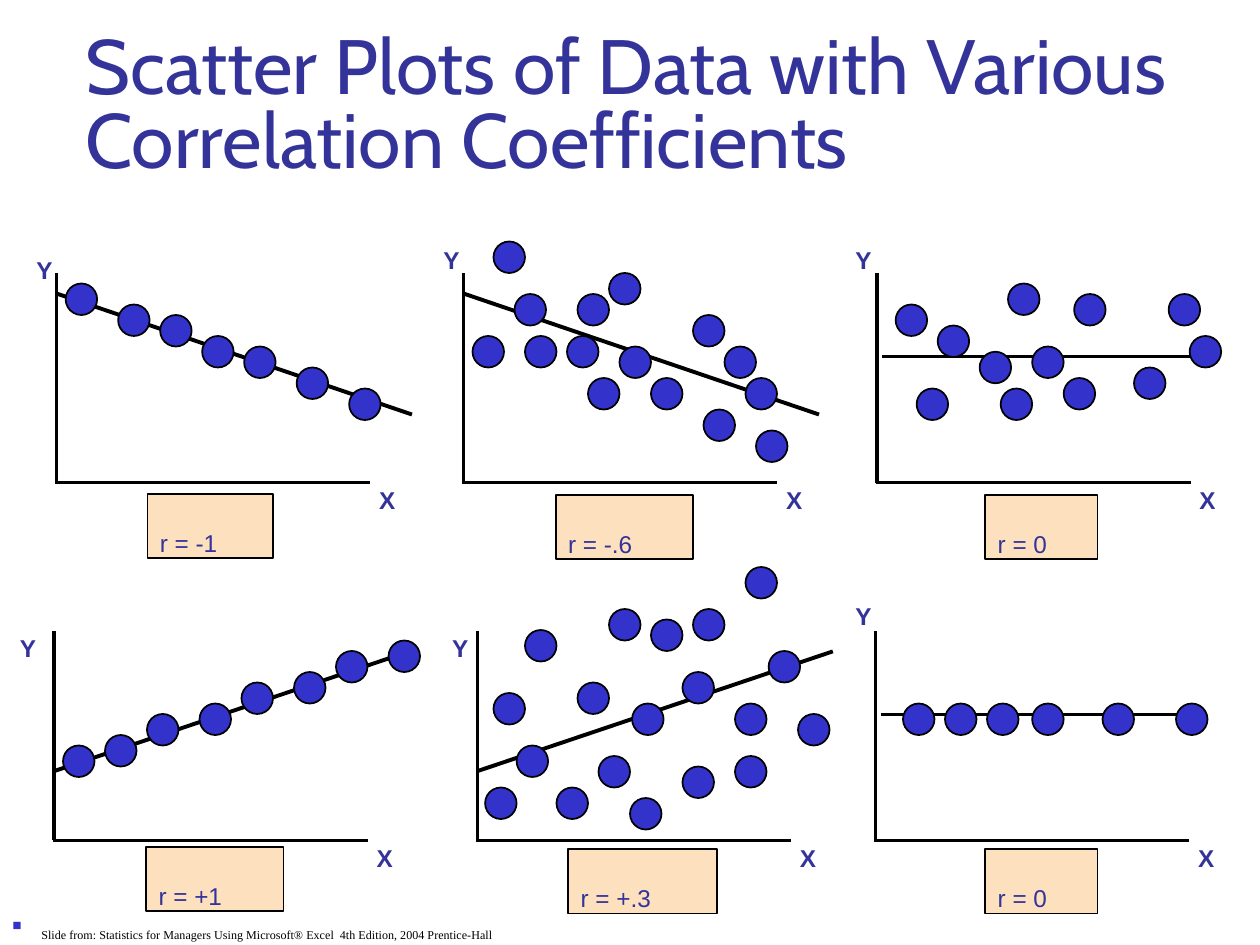
from lxml.etree import SubElement as Sub
from pptx import Presentation
from pptx.dml.color import RGBColor as RGB
from pptx.enum.shapes import MSO_CONNECTOR as Link, MSO_SHAPE as Kind
from pptx.enum.text import MSO_ANCHOR as Anchor
from pptx.oxml.ns import qn
from pptx.util import Inches, Pt

THEME = {
    "ink": RGB.from_string("333399"),
    "dot": RGB.from_string("3333CC"),
    "box": RGB.from_string("FDE0BD"),
    "line": RGB.from_string("000000"),
    "head": {"name": "Cabin", "size": Pt(44), "bold": False},
    "axis": {"name": "Arial", "size": Pt(24), "bold": True},
    "tag": {"name": "Arial", "size": Pt(24), "bold": False},
    "note": {"name": "Times New Roman", "size": Pt(12), "bold": False},
    "thin": 1, "rule": 2, "trend": 2.25,
}
TITLE = "Scatter Plots of Data with Various Correlation Coefficients"
NOTE = ("Slide from: Statistics for Managers Using Microsoft® Excel  "
        "4th Edition, 2004 Prentice-Hall")
CELL = 1 / 12
DOT = 3 * CELL
WIDE, TALL = 2.5, 1.66
FITS = {
    "fall": (0, 0.16, 2.82, 1.12),
    "rise": (0, 1.11, 2.82, 0.16),
    "flat": (0.04, 0.66, 2.54, 0.66),
}
PLOTS = [
    {"at": (0.45, 2.17), "fit": "fall", "y": (-0.26, -0.42),
     "tag": ("r = -1", 0.72, 1.75, 1.0),
     "dots": [(6.25, 27), (11.25, 29), (15.25, 30), (19.25, 32),
              (23.25, 33), (28.25, 35), (33.25, 37)]},
    {"at": (3.68, 2.17), "fit": "fall", "y": (-0.26, -0.5),
     "tag": ("r = -.6", 0.73, 1.76, 1.09),
     "dots": [(72, 41), (71, 36), (47, 23), (49, 28), (67, 39),
              (45, 32), (62, 36), (55, 28), (58, 26), (69, 33),
              (50, 32), (66, 30), (54, 32), (59, 33), (56, 36)]},
    {"at": (6.96, 2.17), "fit": "flat", "y": (-0.27, -0.5),
     "tag": ("r = 0", 0.86, 1.76, 0.89),
     "dots": [(87.3, 37), (111.3, 28), (113.3, 32), (101.3, 36),
              (102.3, 28), (96, 27), (85.3, 29), (89.3, 31),
              (93.3, 33.5), (98.3, 33), (95.3, 37), (108, 35)]},
    {"at": (0.43, 5.01), "fit": "rise", "y": (-0.37, -0.26),
     "tag": ("r = +1", 0.73, 1.71, 1.09),
     "dots": [(6, 71), (10, 70), (37, 61), (32, 62), (14, 68),
              (23, 65), (19, 67), (28, 64)]},
    {"at": (3.79, 5.01), "fit": "rise", "y": (-0.3, -0.26),
     "tag": ("r = +.3", 0.72, 1.73, 1.18),
     "dots": [(46.2, 75), (49.2, 71), (71, 54), (73.2, 62), (53, 75),
              (76, 68), (65, 73), (66, 58), (58, 58), (47, 66),
              (50, 60), (55, 65), (70, 67), (60.2, 67), (60, 76),
              (70, 72), (65, 64), (57, 72), (62, 59)]},
    {"at": (6.95, 5.01), "fit": "flat", "y": (-0.26, -0.51),
     "tag": ("r = 0", 0.87, 1.73, 0.89),
     "dots": [(112, 67), (105, 67), (86, 67), (90, 67), (94, 67),
              (98.3, 67)]},
]

deck = Presentation()
deck.slide_width, deck.slide_height = Inches(10), Inches(7.5)
slide = deck.slides.add_slide(deck.slide_layouts[6])
shapes = slide.shapes


def rule(ends, width):
    line = shapes.add_connector(Link.STRAIGHT, *map(Inches, ends))
    line.line.color.rgb = THEME["line"]
    line.line.width = Pt(width)
    Sub(line._element.spPr, qn("a:effectLst"))


def solid(kind, area, fill):
    shape = shapes.add_shape(kind, *map(Inches, area))
    shape.shadow.inherit = False
    shape.fill.solid()
    shape.fill.fore_color.rgb = THEME[fill]
    shape.line.color.rgb = THEME["line"]
    shape.line.width = Pt(THEME["thin"])
    return shape


def write(shape, text, style, color="ink", low=True, wrap=False):
    frame = shape.text_frame
    frame.word_wrap = wrap
    frame.vertical_anchor = Anchor.TOP
    para = frame.paragraphs[0]
    para.alignment = 1
    run = para.add_run()
    run.text = text
    for key, value in THEME[style].items():
        setattr(run.font, key, value)
    run.font.color.rgb = THEME[color]
    if low:
        run._r.get_or_add_rPr().set("baseline", "-25000")
    return para


def label(area, *rest, **more):
    return write(shapes.add_textbox(*map(Inches, area)), *rest, **more)


def plot(spec):
    left, top = spec["at"]
    base = top + TALL
    fit = FITS[spec["fit"]]
    rule((left, top, left, base), THEME["rule"])
    rule((left - 0.01, base, left - 0.01 + WIDE, base), THEME["rule"])
    width = THEME["rule" if spec["fit"] == "flat" else "trend"]
    rule((left + fit[0], top + fit[1], left + fit[2], top + fit[3]), width)
    for col, row in spec["dots"]:
        solid(Kind.OVAL, (col * CELL, row * CELL, DOT, DOT), "dot")
    for text, (dx, dy) in (("Y", spec["y"]), ("X", (2.46, 1.41))):
        label((left + dx, top + dy, 0.42, 0.5), text, "axis")
    text, dx, dy, wide = spec["tag"]
    write(solid(Kind.RECTANGLE, (left + dx, top + dy, wide, 0.51), "box"),
          text, "tag")


head = label((0.58, 0.25, 9.19, 1.25), TITLE, "head", low=False, wrap=True)
head.line_spacing = 0.8
shapes[0].text_frame.vertical_anchor = Anchor.BOTTOM

for item in PLOTS:
    plot(item)

note = label((0, 7.2, 6.48, 0.3), NOTE, "note", "line")
props = note._p.get_or_add_pPr()
for key, value in (("marL", 0.23), ("indent", -0.23)):
    props.set(key, str(Inches(value)))
tint = Sub(props, qn("a:buClr"))
Sub(tint, qn("a:srgbClr"), val=str(THEME["dot"]))
Sub(props, qn("a:buSzPct"), val="60000")
Sub(props, qn("a:buChar"), char="■")

deck.save("out.pptx")
